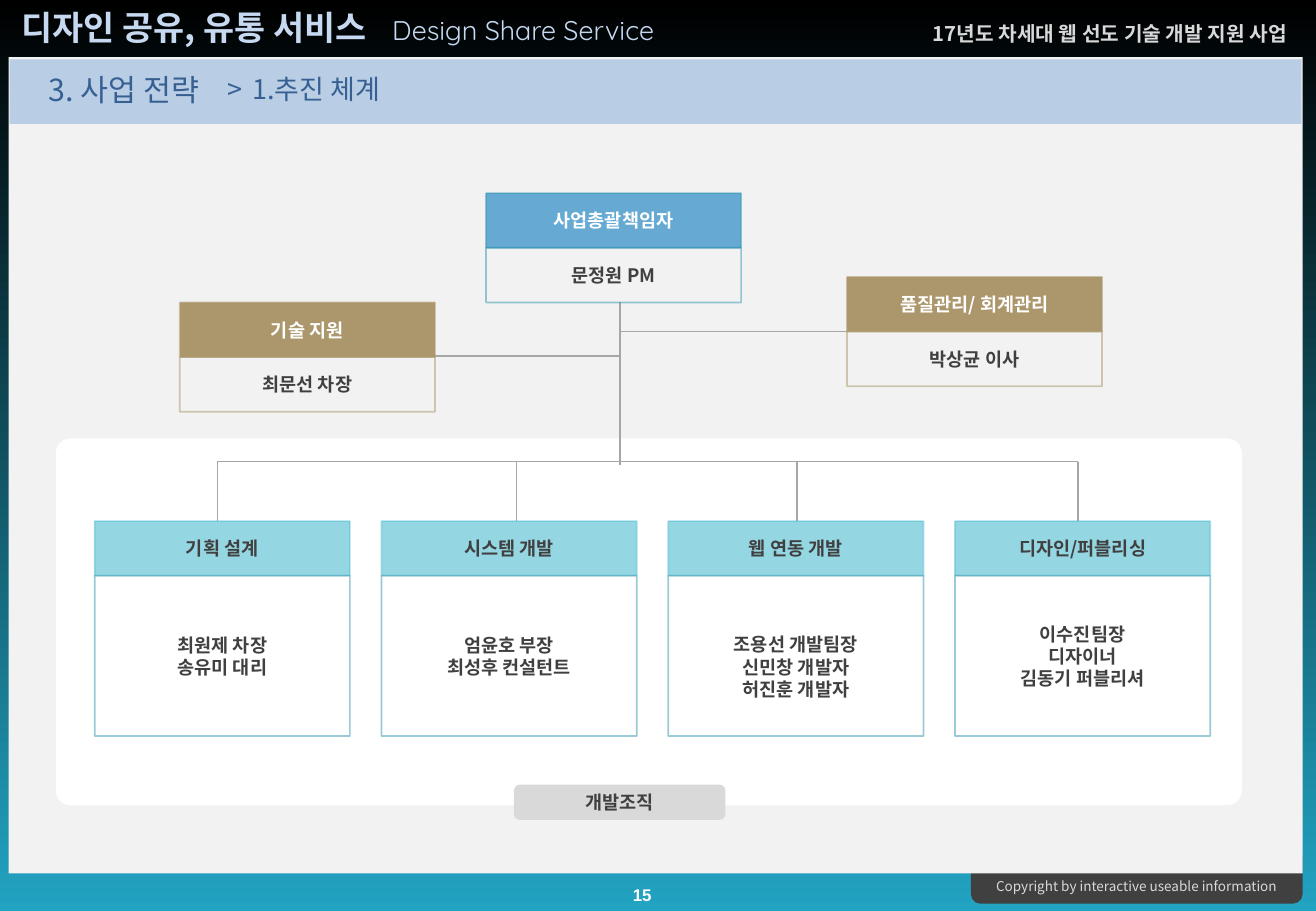
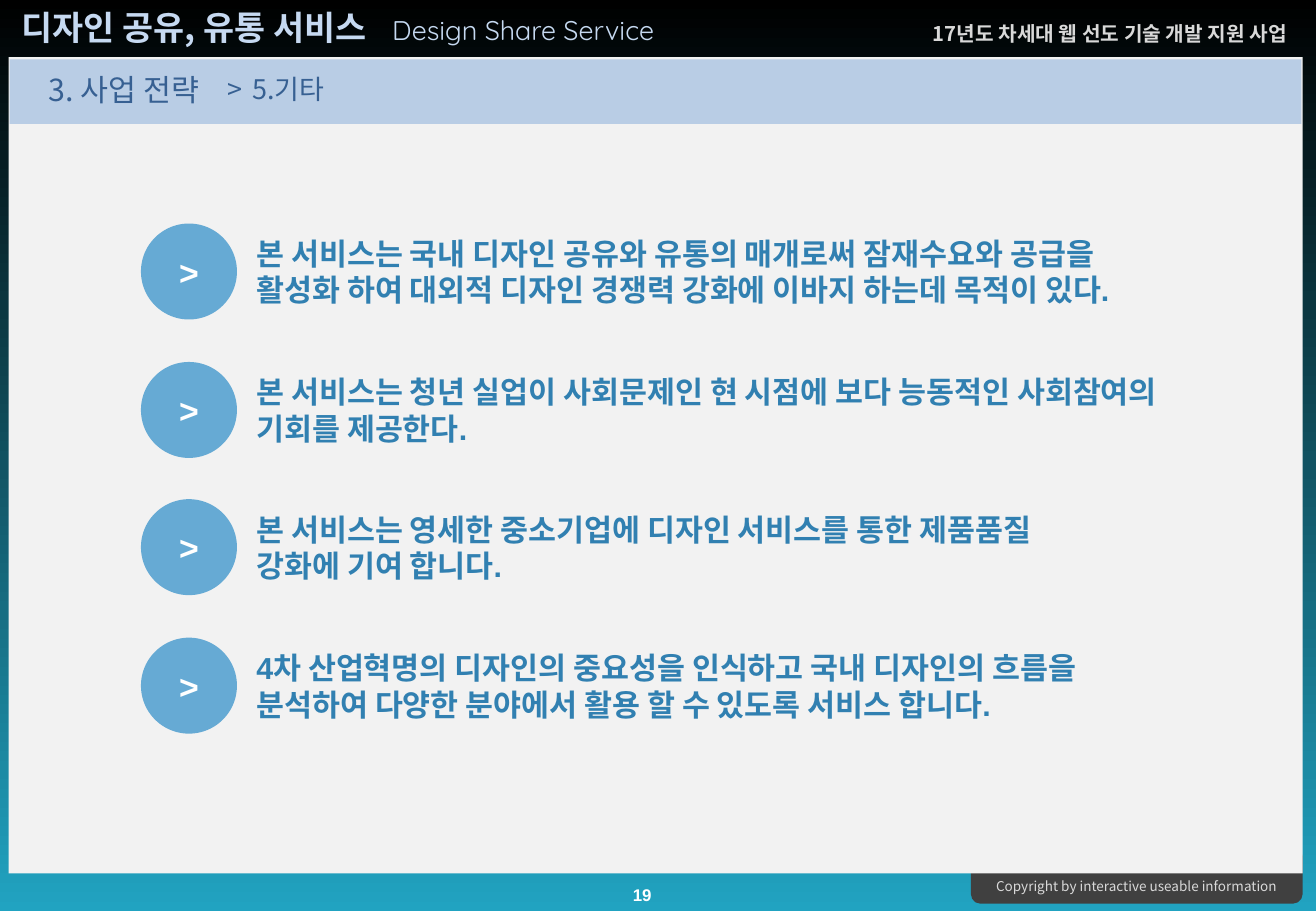
from lxml.etree import SubElement
from pptx import Presentation
from pptx.dml.color import RGBColor
from pptx.enum.shapes import MSO_CONNECTOR, MSO_SHAPE
from pptx.enum.text import MSO_ANCHOR, PP_ALIGN
from pptx.oxml.ns import qn
from pptx.util import Pt

PX = 9144
SLIDE_WIDTH, SLIDE_HEIGHT = 1083, 750
KOREAN, LATIN, DISPLAY = "Noto Sans CJK KR", "Arial", "Quicksand"

BLACK = RGBColor(0x00, 0x00, 0x00)
WHITE = RGBColor(0xFF, 0xFF, 0xFF)
CHARCOAL = RGBColor(0x40, 0x40, 0x40)
GRAY = RGBColor(0xA6, 0xA6, 0xA6)
SILVER = RGBColor(0xD9, 0xD9, 0xD9)
PANEL = RGBColor(0xF2, 0xF2, 0xF2)
TEAL = RGBColor(0x21, 0xA3, 0xC1)
PALE_BLUE = RGBColor(0xC6, 0xD9, 0xF1)
BAND_BLUE = RGBColor(0xB9, 0xCD, 0xE5)
NAVY = RGBColor(0x37, 0x60, 0x92)
BLUE = RGBColor(0x66, 0xAA, 0xD4)
TEXT_BLUE = RGBColor(0x31, 0x80, 0xB1)
DEEP_TEAL = RGBColor(0x34, 0x97, 0xAE)
AQUA = RGBColor(0x95, 0xD6, 0xE3)
AQUA_EDGE = RGBColor(0x55, 0xBE, 0xD3)
TAN = RGBColor(0xAC, 0x97, 0x6C)

LEADER = {"head": BLUE, "head_edge": DEEP_TEAL, "body": None, "edge": DEEP_TEAL, "title": WHITE}
SUPPORT = {"head": TAN, "head_edge": TAN, "body": None, "edge": TAN, "title": WHITE}
TEAM = {"head": AQUA, "head_edge": AQUA_EDGE, "body": WHITE, "edge": DEEP_TEAL, "title": CHARCOAL}

CARD_WIDTH, CARD_HEAD, TEAM_BODY, TEAM_PITCH = 210, 45, 132, 236
TEAMS = [
    ("기획 설계", ["최원제 차장", "송유미 대리"], 0),
    ("시스템 개발", ["엄윤호 부장", "최성후 컨설턴트"], 0),
    ("웹 연동 개발", ["조용선 개발팀장", "신민창 개발자", "허진훈 개발자"], 18),
    ("디자인/퍼블리싱", ["이수진팀장", "디자이너", "김동기 퍼블리셔"], 0),
]
PURPOSES = [
    ["본 서비스는 국내 디자인 공유와 유통의 매개로써 잠재수요와 공급을",
     "활성화 하여 대외적 디자인 경쟁력 강화에 이바지 하는데 목적이 있다."],
    ["본 서비스는 청년 실업이 사회문제인 현 시점에 보다 능동적인 사회참여의",
     "기회를 제공한다."],
    ["본 서비스는 영세한 중소기업에 디자인 서비스를 통한 제품품질",
     "강화에 기여 합니다."],
    ["4차 산업혁명의 디자인의 중요성을 인식하고 국내 디자인의 흐름을",
     "분석하여 다양한 분야에서 활용 할 수 있도록 서비스 합니다."],
]


def to_emu(*lengths):
    """Turn px lengths into EMU."""
    return [length * PX for length in lengths]


def write_text(shape, lines, size, color, bold=False, font=KOREAN, align=PP_ALIGN.LEFT,
               anchor=MSO_ANCHOR.TOP, insets=(10, 5, 10, 5), tab=None):
    """Fill a shape with one paragraph per line."""
    frame = shape.text_frame
    left, top, right, bottom = to_emu(*insets)
    frame_format = {"word_wrap": True, "vertical_anchor": anchor, "margin_left": left,
                    "margin_top": top, "margin_right": right, "margin_bottom": bottom}
    for name, value in frame_format.items():
        setattr(frame, name, value)
    for index, line in enumerate(lines):
        paragraph = frame.add_paragraph() if index else frame.paragraphs[0]
        paragraph.alignment = align
        if tab:
            stops = SubElement(paragraph._p.get_or_add_pPr(), qn("a:tabLst"))
            SubElement(stops, qn("a:tab"), pos=str(tab * PX), algn="l")
        run = paragraph.add_run()
        run.text = line
        for name, value in {"size": Pt(size), "bold": bold, "name": font}.items():
            setattr(run.font, name, value)
        run.font.color.rgb = color
        SubElement(run._r.get_or_add_rPr(), qn("a:ea"), typeface=KOREAN)


def add_text(slide, box, lines, size, color, **text_format):
    """Add a text box."""
    write_text(slide.shapes.add_textbox(*to_emu(*box)), lines, size, color, **text_format)


def add_box(slide, box, fill=None, edge=None, kind=MSO_SHAPE.RECTANGLE):
    """Add a flat shape, with a half-transparent outline if an edge is given."""
    shape = slide.shapes.add_shape(kind, *to_emu(*box))
    shape.shadow.inherit = False
    if fill is None:
        shape.fill.background()
    else:
        shape.fill.solid()
        shape.fill.fore_color.rgb = fill
    if edge is None:
        shape.line.fill.background()
    else:
        shape.line.color.rgb = edge
        shape.line.width = Pt(1)
        outline = shape.element.spPr.find(qn("a:ln"))
        SubElement(next(outline.iter(qn("a:srgbClr"))), qn("a:alpha"), val="50000")
    return shape


def add_line(slide, *ends):
    """Add a thin gray line between two points."""
    line = slide.shapes.add_connector(MSO_CONNECTOR.STRAIGHT, *to_emu(*ends))
    line.line.color.rgb = GRAY
    line.line.width = Pt(1)
    SubElement(line.element.spPr, qn("a:effectLst"))


def add_label(slide, box, lines, color, fill=None, edge=None, kind=MSO_SHAPE.RECTANGLE, drop=0):
    """Add a box with centred bold text, moved down by half the drop."""
    shape = add_box(slide, box, fill, edge, kind)
    write_text(shape, lines, 11, color, bold=True, align=PP_ALIGN.CENTER,
               anchor=MSO_ANCHOR.MIDDLE, insets=(0, drop, 0, 0))


def add_card(slide, left, top, title, people, theme, body_height=CARD_HEAD, drop=0):
    """Add a role heading with the people below it."""
    add_label(slide, (left, top, CARD_WIDTH, CARD_HEAD), [title], theme["title"],
              theme["head"], theme["head_edge"])
    add_label(slide, (left, top + CARD_HEAD, CARD_WIDTH, body_height), people, CHARCOAL,
              theme["body"], theme["edge"], drop=drop)


def add_frame(presentation, number, topic):
    """Add a slide with the shared background, header, band and footer."""
    slide = presentation.slides.add_slide(presentation.slide_layouts[6])
    backdrop = add_box(slide, (0, 0, SLIDE_WIDTH, SLIDE_HEIGHT))
    backdrop.fill.gradient()
    backdrop.fill.gradient_angle = 270
    for stop, color, position in zip(backdrop.fill.gradient_stops, (BLACK, TEAL), (0, 1)):
        stop.color.rgb = color
        stop.position = position
    add_box(slide, (799, 697, 273, 47), CHARCOAL, kind=MSO_SHAPE.ROUNDED_RECTANGLE)
    add_text(slide, (797, 718, 277, 24), ["Copyright by interactive useable information"],
             8, SILVER, align=PP_ALIGN.CENTER)
    add_box(slide, (7, 47, 1065, 672), PANEL)
    add_box(slide, (8, 49, 1063, 53), BAND_BLUE)
    add_text(slide, (313, 6, 307, 37), ["Design Share Service"], 16, PALE_BLUE, font=DISPLAY)
    add_text(slide, (8, 1, 433, 44), ["디자인 공유, 유통 서비스"], 20, PALE_BLUE, bold=True)
    add_text(slide, (731, 13, 338, 30), ["17년도 차세대 웹 선도 기술 개발 지원 사업"], 12, SILVER,
             bold=True, align=PP_ALIGN.RIGHT)
    add_text(slide, (30, 54, 205, 40), ["3. 사업 전략"], 18, NAVY)
    add_text(slide, (177, 55, 205, 37), [f">\t{topic}"], 16, NAVY, tab=21)
    add_text(slide, (510, 723, 37, 27), [str(number)], 10, WHITE, bold=True, font=LATIN,
             align=PP_ALIGN.CENTER)
    return slide


def add_development_group(slide, left, top, width, height):
    """Add the white area with the four teams and its label."""
    area = add_box(slide, (left, top, width, height), WHITE, kind=MSO_SHAPE.ROUNDED_RECTANGLE)
    area.adjustments[0] = 0.04
    bus, cards = top + 19, top + 68
    drops = [left + offset for offset in (133, 379, 610, 841)]
    add_line(slide, drops[0], bus, drops[-1], bus)
    for drop_x in drops:
        add_line(slide, drop_x, bus, drop_x, cards)
    for index, (title, people, drop) in enumerate(TEAMS):
        add_card(slide, left + 32 + index * TEAM_PITCH, cards, title, people, TEAM,
                 TEAM_BODY, drop)
    add_label(slide, (left + 377, top + height - 17, 174, 29), ["개발조직"], CHARCOAL, SILVER,
              kind=MSO_SHAPE.ROUNDED_RECTANGLE)


def add_organization(slide):
    """Add the organization chart."""
    add_development_group(slide, 46, 361, 976, 302)
    trunk = 510
    add_line(slide, trunk, 249, trunk, 383)
    add_line(slide, trunk, 273, 697, 273)
    add_line(slide, 358, 293, trunk, 293)
    add_card(slide, 400, 159, "사업총괄책임자", ["문정원 PM"], LEADER)
    add_card(slide, 697, 228, "품질관리/ 회계관리", ["박상균 이사"], SUPPORT)
    add_card(slide, 148, 249, "기술 지원", ["최문선 차장"], SUPPORT)


def add_purposes(slide, left, top, pitch):
    """Add the column of purposes, each beside a round marker."""
    diameter = 79
    for index, lines in enumerate(PURPOSES):
        row = top + round(index * pitch)
        marker = add_box(slide, (left, row, diameter, diameter), BLUE, kind=MSO_SHAPE.OVAL)
        write_text(marker, [">"], 20, WHITE, bold=True, font=LATIN, align=PP_ALIGN.CENTER,
                   anchor=MSO_ANCHOR.MIDDLE)
        add_text(slide, (left + 95, row + 4, 820, 71), lines, 18, TEXT_BLUE, bold=True,
                 font=LATIN, anchor=MSO_ANCHOR.MIDDLE, insets=(0, 5, 0, 5))


def main():
    """Build and save the presentation."""
    presentation = Presentation()
    presentation.slide_width, presentation.slide_height = to_emu(SLIDE_WIDTH, SLIDE_HEIGHT)
    add_organization(add_frame(presentation, 15, "1.추진 체계"))
    add_purposes(add_frame(presentation, 19, "5.기타"), 116, 184, 113.6)
    presentation.save("out.pptx")


if __name__ == "__main__":
    main()
